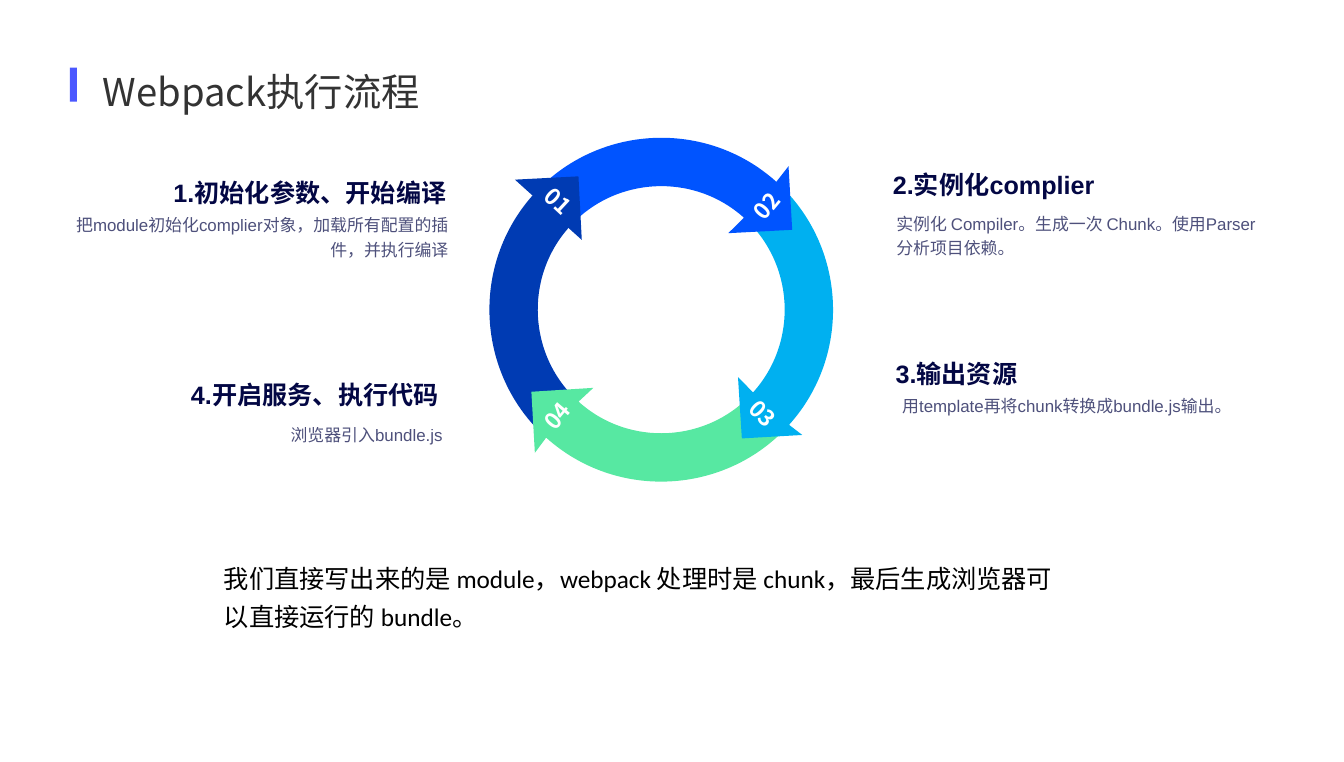
import math

from lxml import etree
from pptx import Presentation
from pptx.dml.color import RGBColor
from pptx.enum import shapes, text
from pptx.oxml import ns
from pptx.util import Cm, Pt

TITLE = "Webpack执行流程"
TITLE_BOX = (2.04, 0.33, 16.59, 2.03)
BAR_BOX = (1.56, 1.51, 0.16, 0.76)
SUMMARY = "我们直接写出来的是 module，webpack 处理时是 chunk，最后生成浏览器可以直接运行的 bundle。"
SUMMARY_BOX = (4.75, 12.27, 19.05, 1.88)

STEPS = [
    ("1.初始化参数、开始编译", (3.25, 3.91, 6.95, 0.84),
     "把module初始化complier对象，加载所有配置的插件，并执行编译", (1.45, 4.73, 8.79, 1.19), "right"),
    ("2.实例化complier", (19.7, 3.45, 5.4, 1.14),
     "实例化 Compiler。生成一次 Chunk。使用Parser分析项目依赖。", (19.78, 4.51, 8.79, 1.37), "left"),
    ("3.输出资源", (19.76, 7.65, 5.23, 1.14),
     "用template再将chunk转换成bundle.js输出。", (19.91, 8.69, 8.79, 0.71), "left"),
    ("4.开启服务、执行代码", (3.78, 8.13, 6.25, 1.14),
     "浏览器引入bundle.js", (5.72, 9.35, 4.39, 0.71), "right"),
]

CENTER = (14.76, 6.91)
OUTER, INNER = 3.84, 2.76
TILT = 42
BEZIER = 0.55
NAVY = "003BB3"
ARROWS = [
    (3, NAVY, []),
    (2, "57E8A2", [(-0.04, -4.26), (0.93, -3.3), (-0.04, -2.31)]),
    (1, "00B0F0", [(-0.03, -4.21), (0.93, -3.26), (-0.03, -2.28)]),
    (0, "0054FF", [(-0.03, -4.28), (0.98, -3.28), (-0.03, -2.27)]),
]
NAVY_HEAD_BOX = (11.53, 3.97, 1.42, 1.42)
NUMBER_SIZE = (1.8, 1.17)
NUMBERS = [("01", 11.56, 3.89, 43), ("02", 16.21, 4.01, 310),
           ("03", 16.13, 8.64, 45), ("04", 11.53, 8.69, 310)]

CJK = "Noto Sans CJK SC"
ALIGN = {"left": text.PP_ALIGN.LEFT, "right": text.PP_ALIGN.RIGHT, "center": text.PP_ALIGN.CENTER}
INSETS = {"margin_left": Cm(0.23), "margin_right": Cm(0.23),
          "margin_top": Cm(0.13), "margin_bottom": Cm(0.13)}
BOTTOM = {**INSETS, "vertical_anchor": text.MSO_ANCHOR.BOTTOM}
MIDDLE = {**INSETS, "vertical_anchor": text.MSO_ANCHOR.MIDDLE}
GROW = {"vertical_anchor": text.MSO_ANCHOR.TOP, "auto_size": text.MSO_AUTO_SIZE.SHAPE_TO_FIT_TEXT}
TITLE_FONT = {"name": CJK, "size": Pt(24.2)}
HEADING_FONT = {"name": "Arial", "size": Pt(15.9), "bold": True}
DETAIL_FONT = {"name": "Arial", "size": Pt(10.7)}
NUMBER_FONT = {"name": CJK, "size": Pt(14.2), "bold": True}
SUMMARY_FONT = {"name": "Calibri", "size": Pt(16)}


def paint(fill, color):
    fill.solid()
    fill.fore_color.rgb = RGBColor.from_string(color)


def style(shape, color):
    paint(shape.fill, color)
    shape.line.fill.background()
    shape.shadow.inherit = False


def write(shape, words, frame_format, font_format, color, align="left", spacing=None, alpha=None):
    frame = shape.text_frame
    frame.word_wrap = True
    for key, value in frame_format.items():
        setattr(frame, key, value)
    paragraph = frame.paragraphs[0]
    paragraph.alignment = ALIGN[align]
    paragraph.line_spacing = spacing
    run = paragraph.add_run()
    run.text = words
    for key, value in font_format.items():
        setattr(run.font, key, value)
    paint(run.font.fill, color)
    properties = run.font.fill._xPr
    etree.SubElement(properties, ns.qn("a:ea"), typeface=CJK)
    if alpha:
        rgb = properties.find(".//" + ns.qn("a:srgbClr"))
        etree.SubElement(rgb, ns.qn("a:alpha"), val=str(alpha * 1000))


def place(box):
    return [Cm(length) for length in box]


def quarter_arc(radius):
    return [(-radius, 0), (-radius, -BEZIER * radius), (-BEZIER * radius, -radius), (0, -radius)]


def quarter_turns(point, turns):
    x, y = point
    for _ in range(turns):
        x, y = -y, x
    return x, y


def bend(lines):
    first = lines[0]
    curve = etree.Element(ns.qn("a:cubicBezTo"))
    first.addprevious(curve)
    for line in lines:
        curve.append(line[0])
        line.getparent().remove(line)


def add_arrow(slide, turns, color, head):
    outline = quarter_arc(OUTER) + head + quarter_arc(INNER)[::-1]
    points = [place(quarter_turns(point, turns)) for point in outline]
    builder = slide.shapes.build_freeform(*points[0], scale=1.0)
    builder.add_line_segments(points[1:], close=True)
    arrow = builder.convert_to_shape()
    lines = list(arrow._element.iter(ns.qn("a:lnTo")))
    bend(lines[:3])
    bend(lines[len(head) + 4:len(head) + 7])

    x, y = arrow.left + arrow.width / 2, arrow.top + arrow.height / 2
    cos, sin = math.cos(math.radians(TILT)), math.sin(math.radians(TILT))
    arrow.left = round(Cm(CENTER[0]) + x * cos - y * sin - arrow.width / 2)
    arrow.top = round(Cm(CENTER[1]) + x * sin + y * cos - arrow.height / 2)
    arrow.rotation = TILT
    style(arrow, color)


def main():
    deck = Presentation()
    deck.slide_width, deck.slide_height = Cm(30), Cm(17)
    slide = deck.slides.add_slide(deck.slide_layouts[5])

    title = slide.shapes.title
    title.left, title.top, title.width, title.height = place(TITLE_BOX)
    write(title, TITLE, GROW, TITLE_FONT, "000000", spacing=Pt(59), alpha=80)
    bar = slide.shapes.add_shape(shapes.MSO_SHAPE.RECTANGLE, *place(BAR_BOX))
    style(bar, "4B58FF")

    for heading, heading_box, detail, detail_box, align in STEPS:
        write(slide.shapes.add_textbox(*place(heading_box)), heading,
              BOTTOM, HEADING_FONT, "030744", align)
        write(slide.shapes.add_textbox(*place(detail_box)), detail,
              BOTTOM, DETAIL_FONT, "030744", align, 1.2, 70)

    for turns, color, head in ARROWS:
        add_arrow(slide, turns, color, head)
    navy_head = slide.shapes.add_shape(shapes.MSO_SHAPE.RIGHT_TRIANGLE, *place(NAVY_HEAD_BOX))
    navy_head.rotation = 177
    style(navy_head, NAVY)

    for number, left, top, rotation in NUMBERS:
        label = slide.shapes.add_textbox(*place((left, top, *NUMBER_SIZE)))
        label.rotation = rotation
        write(label, number, MIDDLE, NUMBER_FONT, "FFFFFF", "center")

    write(slide.shapes.add_textbox(*place(SUMMARY_BOX)), SUMMARY,
          GROW, SUMMARY_FONT, "000000", spacing=Pt(24))
    deck.save("out.pptx")


if __name__ == "__main__":
    main()
